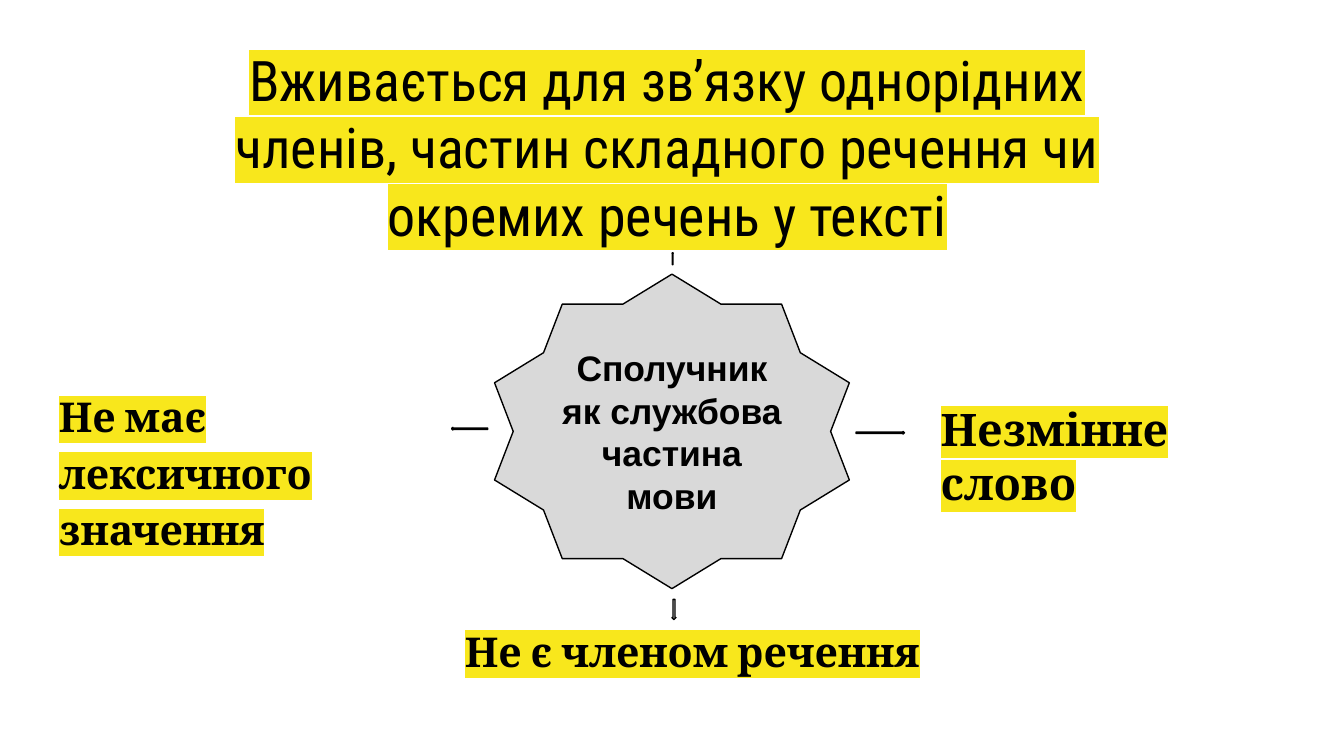
from dataclasses import dataclass

import pptx
import pptx.dml.color
import pptx.enum.shapes
import pptx.enum.text
import pptx.oxml
import pptx.oxml.ns
import pptx.util
from pptx.util import Inches

COLORS = {"text": "000000", "marker": "F8E71C", "shape": "D9D9D9", "line": "000000"}
SHAPE = pptx.enum.shapes.MSO_SHAPE
ALIGN = pptx.enum.text.PP_ALIGN
ANCHOR = pptx.enum.text.MSO_ANCHOR


@dataclass
class Box:
    left: float
    top: float
    width: float
    height: float

    def emu(self) -> tuple:
        return tuple(Inches(v) for v in (self.left, self.top, self.width, self.height))


@dataclass
class Label:
    box: Box
    text: str
    size: int
    font: str = "Cambria"
    bold: bool = True
    align: ALIGN = ALIGN.LEFT
    spacing: float = 1.0


@dataclass
class Arrow:
    box: Box
    kind: SHAPE


LABELS = [
    Label(Box(1.53, 0.24, 6.87, 0.95),
          "Вживається для зв’язку однорідних членів, частин складного речення чи окремих речень у тексті",
          30, "Roboto Condensed", False, ALIGN.CENTER),
    Label(Box(0.34, 2.76, 3.16, 0.95), "Не має лексичного значення", 22, spacing=1.15),
    Label(Box(3.36, 4.56, 3.59, 1.7), "Не є членом речення", 22),
    Label(Box(6.9, 2.89, 2.76, 0.71), "Незмінне слово", 24),
]
STAR = Box(3.68, 2.04, 2.64, 2.34)
STAR_LINES = ["Сполучник", "як службова частина мови"]
ARROWS = [
    Arrow(Box(3.36, 3.18, 0.27, 0.02), SHAPE.LEFT_ARROW),
    Arrow(Box(6.37, 3.21, 0.36, 0.02), SHAPE.RIGHT_ARROW),
    Arrow(Box(5, 1.88, 0.01, 0.09), SHAPE.UP_ARROW),
    Arrow(Box(5, 4.46, 0.03, 0.15), SHAPE.DOWN_ARROW),
]


def rgb(name: str) -> pptx.dml.color.RGBColor:
    return pptx.dml.color.RGBColor.from_string(COLORS[name])


def highlight(r, color: str) -> None:
    mark = pptx.oxml.parse_xml(
        f'<a:highlight {pptx.oxml.ns.nsdecls("a")}><a:srgbClr val="{COLORS[color]}"/></a:highlight>')
    r.font._element.append(mark)


def setup_frame(tf) -> None:
    tf.word_wrap = True
    tf.margin_left = tf.margin_right = tf.margin_top = tf.margin_bottom = Inches(0.1)


def write(p, text: str, size: int, font: str, bold: bool, align: ALIGN, marker: str) -> None:
    p.alignment = align
    p.font.size = pptx.util.Pt(size)
    p.font.name = font
    p.font.bold = bold
    p.font.color.rgb = rgb("text")
    r = p.add_run()
    r.text = text
    highlight(r, marker)


def add_label(s, label: Label) -> None:
    tf = s.shapes.add_textbox(*label.box.emu()).text_frame
    setup_frame(tf)
    p = tf.paragraphs[0]
    p.line_spacing = label.spacing
    write(p, label.text, label.size, label.font, label.bold, label.align, "marker")


def add_outlined(s, kind: SHAPE, box: Box):
    sp = s.shapes.add_shape(kind, *box.emu())
    sp.shadow.inherit = False
    sp.fill.solid()
    sp.fill.fore_color.rgb = rgb("shape")
    sp.line.color.rgb = rgb("line")
    sp.line.width = pptx.util.Pt(0.75)
    return sp


def add_star(s) -> None:
    tf = add_outlined(s, SHAPE.STAR_10_POINT, STAR).text_frame
    setup_frame(tf)
    tf.vertical_anchor = ANCHOR.MIDDLE
    for i, line in enumerate(STAR_LINES):
        p = tf.add_paragraph() if i else tf.paragraphs[0]
        write(p, line, 19, "Arial", True, ALIGN.CENTER, "shape")


def main() -> None:
    prs = pptx.Presentation()
    prs.slide_width = Inches(10)
    prs.slide_height = Inches(10) * 9 // 16
    s = prs.slides.add_slide(prs.slide_layouts[6])
    for label in LABELS:
        add_label(s, label)
    add_star(s)
    for arrow in ARROWS:
        add_outlined(s, arrow.kind, arrow.box)
    prs.save("out.pptx")


if __name__ == "__main__":
    main()
